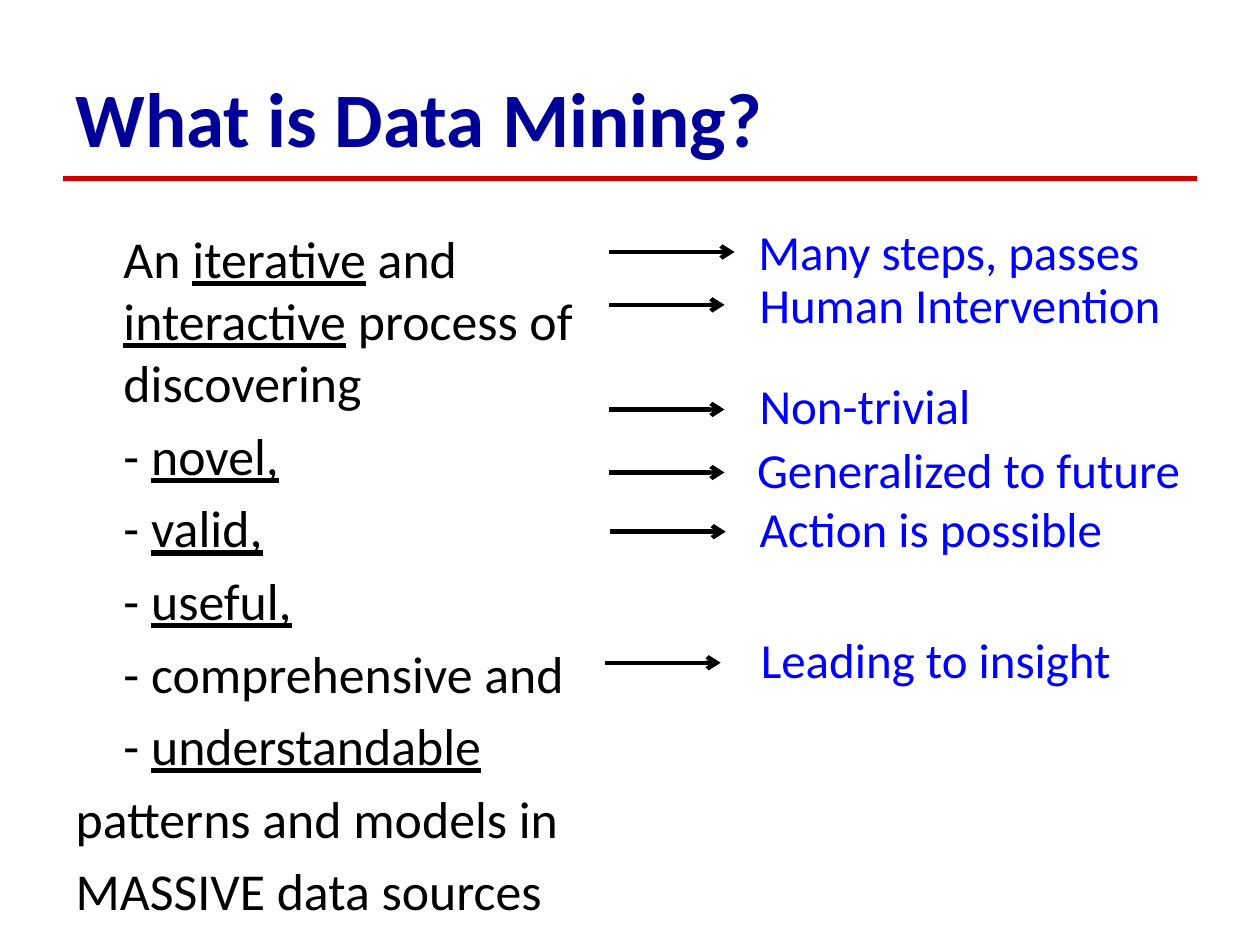
from dataclasses import dataclass

from lxml.etree import SubElement
from pptx import Presentation
from pptx.dml.color import RGBColor
from pptx.enum.shapes import MSO_CONNECTOR
from pptx.enum.text import MSO_ANCHOR, MSO_AUTO_SIZE as AutoSize, PP_ALIGN
from pptx.oxml.ns import qn
from pptx.util import Inches, Pt

NAVY = RGBColor(0x00, 0x00, 0x99)
BLUE = RGBColor(0x00, 0x00, 0xFF)
RED = RGBColor(0xCC, 0x00, 0x00)
BLACK = RGBColor(0x00, 0x00, 0x00)
FONT = "Calibri"

# Column positions in inches
WIDTH, HEIGHT = 10, 7.5
MARGIN = 0.05 * WIDTH
ARROW_X = 4.83
ARROW_LENGTH = 0.92
MEANING_HEIGHT = 0.57
INDENT = 0.38


@dataclass
class Meaning:
    text: str
    left: float
    top: float
    width: float
    arrow_y: float
    arrow_x: float = ARROW_X
    arrow_length: float = ARROW_LENGTH


@dataclass
class Phrase:
    wording: list[tuple[str, bool]]  # text, underlined
    hanging: bool = False


MEANINGS = [
    Meaning("Many steps, passes", 5.92, 1.71, 3.42, 2.0, arrow_length=1),
    Meaning("Human Intervention", 5.93, 2.13, 3.65, 2.42),
    Meaning("Non-trivial", 5.93, 2.93, 2.42, 3.25),
    Meaning("Generalized to future", 5.91, 3.44, 4.05, 3.75),
    Meaning("Action is possible", 5.93, 3.91, 3.42, 4.22, arrow_x=4.84),
    Meaning("Leading to insight", 5.94, 4.95, 3.83, 5.26, arrow_x=4.8),
]

DEFINITION = [
    Phrase([("An ", False), ("iterative", True), (" and ", False),
            ("interactive", True), (" process of discovering", False)]),
    *(Phrase([("- ", False), (quality, True)])
      for quality in ("novel,", "valid,", "useful,")),
    Phrase([("- comprehensive and", False)]),
    Phrase([("- ", False), ("understandable", True)]),
    Phrase([("patterns and models in ", False)], hanging=True),
    Phrase([("MASSIVE data sources", False)], hanging=True),
]


def place(shape, left: float, top: float, width: float, height: float) -> None:
    shape.left, shape.top = Inches(left), Inches(top)
    shape.width, shape.height = Inches(width), Inches(height)


def write(paragraph, text: str, *, size: float, color: RGBColor,
          bold: bool = False, underline: bool = False) -> None:
    run = paragraph.add_run()
    run.text = text
    font = run.font
    font.name, font.size, font.bold = FONT, Pt(size), bold
    font.underline = underline
    font.color.rgb = color


def draw_line(slide, left: float, y: float, length: float, *,
              color: RGBColor, weight: float, arrow: bool = False) -> None:
    line = slide.shapes.add_connector(
        MSO_CONNECTOR.STRAIGHT, Inches(left), Inches(y),
        Inches(left + length), Inches(y))
    line.line.color.rgb = color
    line.line.width = Pt(weight)
    properties = line._element.spPr
    if arrow:
        SubElement(properties.find(qn("a:ln")), qn("a:tailEnd"), type="arrow")
    SubElement(properties, qn("a:effectLst"))


def write_phrase(paragraph, phrase: Phrase) -> None:
    paragraph.space_before = Pt(5.92)
    properties = paragraph._p.get_or_add_pPr()
    properties.set("marL", str(Inches(INDENT)))
    properties.set("indent", str(Inches(-INDENT if phrase.hanging else 0)))
    SubElement(properties, qn("a:buNone"))
    for text, underlined in phrase.wording:
        write(paragraph, text, size=29.6, color=BLACK, underline=underlined)


def add_meaning(slide, meaning: Meaning) -> None:
    draw_line(slide, meaning.arrow_x, meaning.arrow_y, meaning.arrow_length,
              color=BLACK, weight=2.5, arrow=True)
    box = slide.shapes.add_textbox(
        Inches(meaning.left), Inches(meaning.top),
        Inches(meaning.width), Inches(MEANING_HEIGHT))
    box.text_frame.word_wrap = True
    box.text_frame.auto_size = AutoSize.SHAPE_TO_FIT_TEXT
    write(box.text_frame.paragraphs[0], meaning.text, size=28, color=BLUE)


deck = Presentation()
deck.slide_width, deck.slide_height = Inches(WIDTH), Inches(HEIGHT)
slide = deck.slides.add_slide(deck.slide_layouts[1])

# Title and the rule under it
title = slide.shapes.title
place(title, MARGIN, 0.3, WIDTH - 2 * MARGIN, 1.25)
title.text_frame.auto_size = AutoSize.NONE
title.text_frame.vertical_anchor = MSO_ANCHOR.MIDDLE
heading = title.text_frame.paragraphs[0]
heading.alignment = PP_ALIGN.LEFT
write(heading, "What is Data Mining?", size=44, color=NAVY, bold=True)
draw_line(slide, MARGIN, 1.42, WIDTH - 2 * MARGIN, color=RED, weight=2.75)

# Definition on the left
definition = slide.placeholders[1]
place(definition, MARGIN, 1.75, ARROW_X - MARGIN, 4.95)
frame = definition.text_frame
frame.auto_size = AutoSize.NONE
for number, phrase in enumerate(DEFINITION):
    write_phrase(frame.add_paragraph() if number else frame.paragraphs[0], phrase)

# Arrows to the meaning of each term
for meaning in MEANINGS:
    add_meaning(slide, meaning)

deck.save("out.pptx")
